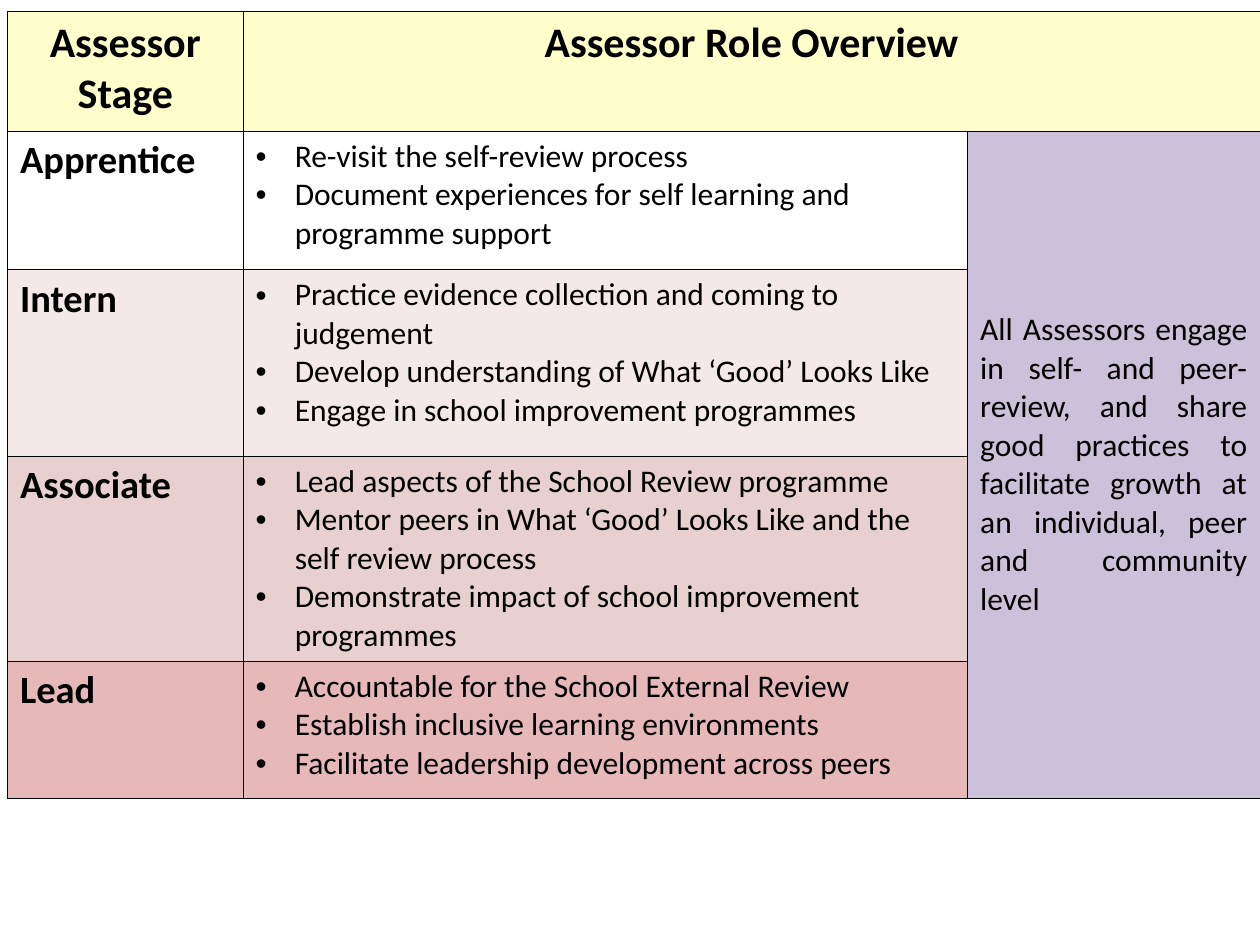
import pptx
import pptx.dml.color
import pptx.enum.text
import pptx.oxml
import pptx.oxml.ns
import pptx.util
from pptx.util import Inches

COLORS = {
    "text": "000000",
    "border": "000000",
    "header": "FFFFCC",
    "intern": "F4E9E9",
    "associate": "E8D0D0",
    "lead": "E6B9B8",
    "shared": "CCC1DA",
}
ALIGN = pptx.enum.text.PP_ALIGN
COLUMN_WIDTHS = [1.87, 5.75, 2.32]
ROW_HEIGHTS = [0.95, 1.1, 1.48, 1.6, 1.09]
STAGES = [
    ("Apprentice", None, [
        "Re-visit the self-review process",
        "Document experiences for self learning and programme support",
    ]),
    ("Intern", "intern", [
        "Practice evidence collection and coming to judgement",
        "Develop understanding of What ‘Good’ Looks Like",
        "Engage in school improvement programmes",
    ]),
    ("Associate", "associate", [
        "Lead aspects of the School Review programme",
        "Mentor peers in What ‘Good’ Looks Like and the self review process",
        "Demonstrate impact of school improvement programmes",
    ]),
    ("Lead", "lead", [
        "Accountable for the School External Review",
        "Establish inclusive learning environments",
        "Facilitate leadership development across peers",
    ]),
]
SHARED_ROLE = (
    "All Assessors engage in self- and peer-review, and share good practices "
    "to facilitate growth at an individual, peer and community level"
)


def add_element(parent, xml):
    """Append an element of the drawing namespace written as XML."""
    namespace = pptx.oxml.ns.nsdecls("a")
    parent.append(pptx.oxml.parse_xml(xml.replace(">", f" {namespace}>", 1)))


def style_cell(cell, fill):
    """Give a cell thin borders on all sides and its fill."""
    properties = cell._tc.get_or_add_tcPr()
    for side in "LRTB":
        add_element(
            properties,
            f'<a:ln{side} w="{pptx.util.Pt(0.45)}"><a:solidFill>'
            f'<a:srgbClr val="{COLORS["border"]}"/></a:solidFill></a:ln{side}>',
        )
    if fill:
        cell.fill.solid()
        cell.fill.fore_color.rgb = pptx.dml.color.RGBColor.from_string(COLORS[fill])
    else:
        cell.fill.background()


def add_bullet(paragraph):
    """Give a paragraph a hanging round bullet."""
    properties = paragraph._p.get_or_add_pPr()
    indent = Inches(0.31)
    properties.set("marL", str(indent))
    properties.set("indent", str(-indent))
    add_element(properties, f'<a:buClr><a:srgbClr val="{COLORS["text"]}"/></a:buClr>')
    add_element(properties, '<a:buFont typeface="Arial"></a:buFont>')
    add_element(properties, '<a:buChar char="•"></a:buChar>')


def write_cell(cell, lines, size, bold=False, align=ALIGN.LEFT, bulleted=False):
    """Write one paragraph per line into a cell."""
    cell.text = "\n".join(lines)
    for paragraph in cell.text_frame.paragraphs:
        paragraph.alignment = align
        if bulleted:
            add_bullet(paragraph)
        font = paragraph.font
        font.name = "Calibri"
        font.size = pptx.util.Pt(size)
        font.bold = bold
        font.color.rgb = pptx.dml.color.RGBColor.from_string(COLORS["text"])


def add_role_table(slide, left, top, width, height):
    """Place the table of assessor stages and roles in the given box."""
    frame = slide.shapes.add_table(
        len(ROW_HEIGHTS), len(COLUMN_WIDTHS), left, top, width, height
    )
    table = frame.table
    for column, column_width in zip(table.columns, COLUMN_WIDTHS):
        column.width = Inches(column_width)
    for row, row_height in zip(table.rows, ROW_HEIGHTS):
        row.height = Inches(row_height)

    fills = ["header"] + [fill for _, fill, _ in STAGES]
    for row_index, fill in enumerate(fills):
        for column_index in range(len(COLUMN_WIDTHS)):
            shared = row_index > 0 and column_index == 2
            style_cell(table.cell(row_index, column_index), "shared" if shared else fill)

    table.cell(0, 1).merge(table.cell(0, 2))
    table.cell(1, 2).merge(table.cell(len(STAGES), 2))

    for column_index, title in enumerate(["Assessor Stage", "Assessor Role Overview"]):
        write_cell(table.cell(0, column_index), [title], 24, True, ALIGN.CENTER)
    for row_index, (stage, _, roles) in enumerate(STAGES, start=1):
        write_cell(table.cell(row_index, 0), [stage], 22, True)
        write_cell(table.cell(row_index, 1), roles, 18, bulleted=True)

    shared_cell = table.cell(1, 2)
    write_cell(shared_cell, [SHARED_ROLE], 18, align=ALIGN.JUSTIFY)
    shared_cell.vertical_anchor = pptx.enum.text.MSO_ANCHOR.MIDDLE


def main():
    """Build and save the slide."""
    presentation = pptx.Presentation()
    presentation.slide_width = Inches(10)
    presentation.slide_height = Inches(7.5)
    slide = presentation.slides.add_slide(presentation.slide_layouts[6])
    add_role_table(slide, Inches(0.06), Inches(0.09), Inches(9.94), Inches(6.22))
    presentation.save("out.pptx")


if __name__ == "__main__":
    main()
